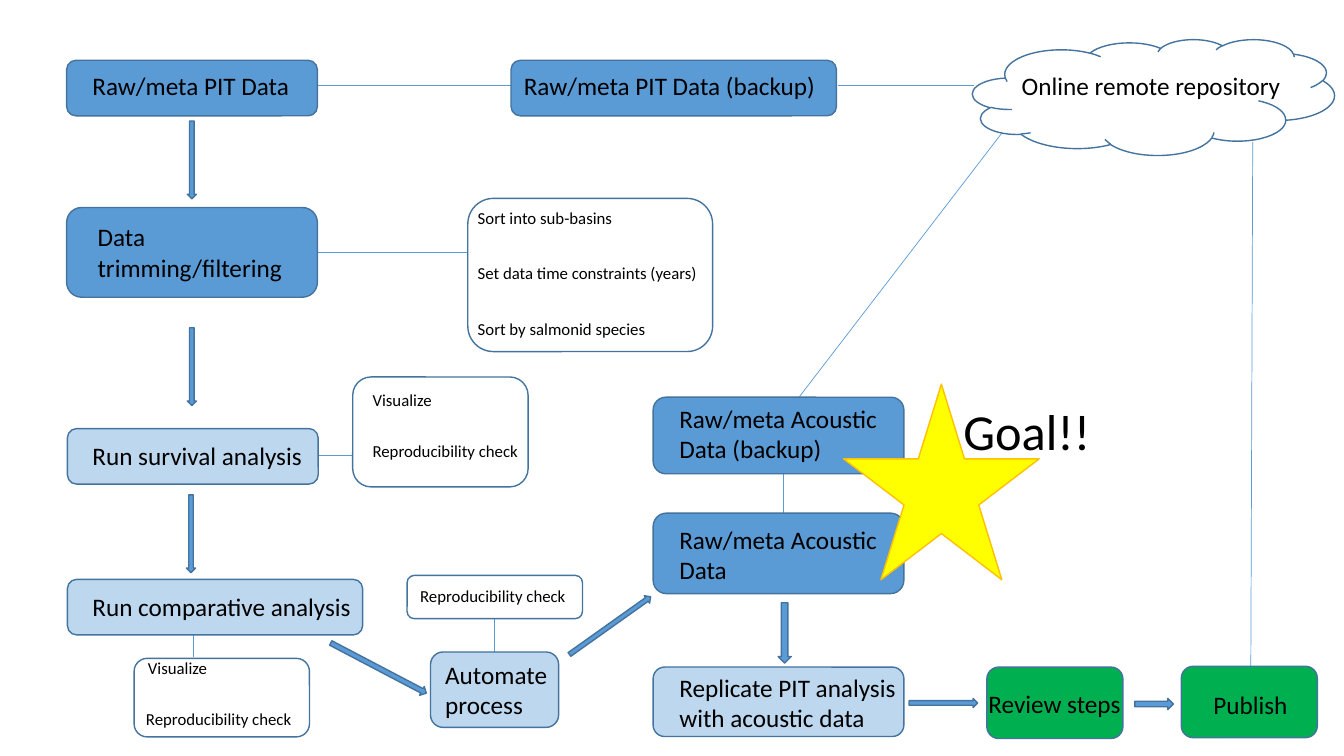
from lxml.etree import SubElement
from pptx import Presentation
from pptx.dml.color import RGBColor as Rgb
from pptx.enum.shapes import MSO_CONNECTOR as Link, MSO_SHAPE as Kind
from pptx.oxml.ns import qn
from pptx.util import Cm, Pt

FONT = "Calibri"
HUES = {
    "blue": "5B9BD5", "pale": "BDD7EE", "green": "00B050", "edge": "43739E",
    "white": "FFFFFF", "black": "000000", "yellow": "FFFF00", "gold": "FFC000",
}

# Links: x1, y1, x2, y2 in cm
LINKS = [
    (12.95, 2.16, 7.62, 2.16), (21.13, 2.16, 24.54, 2.16),
    (7.49, 6.35, 11.79, 6.35), (8.89, 11.48, 7.98, 11.48),
    (4.88, 15.72, 4.88, 16.56), (12.47, 15.6, 12.47, 16.46),
    (19.74, 13.08, 19.74, 11.84), (20.12, 10.03, 25.25, 3.35),
    (31.57, 3.58, 31.52, 17.25),
]

# Steps: fill, box (left, top, width, height), text, text place (left, top, width)
STEPS = [
    ("blue", (1.68, 1.52, 6.32, 1.4), "Raw/meta PIT Data", (2.08, 1.65, 5.54)),
    ("blue", (12.88, 1.52, 8.2, 1.4), "Raw/meta PIT Data (backup)", (12.95, 1.65, 8.31)),
    ("blue", (1.68, 5.23, 6.32, 2.26), "Data trimming/filtering", (2.21, 5.46, 5.28)),
    ("pale", (1.7, 10.8, 6.32, 1.4), "Run survival analysis", (2.08, 10.97, 9.3)),
    ("pale", (1.7, 14.6, 7.44, 1.4), "Run comparative analysis", (2.08, 14.78, 9.3)),
    ("pale", (10.85, 16.43, 3.23, 1.9), "Automate process", (10.97, 16.48, 4.78)),
    ("blue", (16.46, 10.01, 6.32, 1.93), "Raw/meta Acoustic Data (backup)", (16.87, 10.03, 6.5)),
    ("blue", (16.46, 12.93, 6.32, 2.03), "Raw/meta Acoustic Data", (16.87, 13.08, 6.5)),
    ("pale", (16.46, 16.81, 6.32, 1.75), "Replicate PIT analysis with acoustic data",
     (16.87, 16.81, 6.5)),
    ("green", (24.87, 16.81, 3.43, 1.8), "Review steps", (24.66, 17.22, 5)),
    ("green", (29.77, 16.79, 3.43, 1.8), "Publish", (30.33, 17.25, 5)),
]

# Notes: frame, then its lines of text with their places
NOTES = [
    ((11.79, 5, 6.17, 3.86), [
        ("Sort into sub-basins", (11.79, 5.1, 5.82)),
        ("Set data time constraints (years)", (11.79, 6.5, 9.3)),
        ("Sort by salmonid species", (11.79, 7.9, 9.3))]),
    ((8.89, 9.5, 4.42, 2.77), [
        ("Visualize", (9.14, 9.7, 2.77)),
        ("Reproducibility check", (9.14, 10.97, 5.08))]),
    ((3.38, 16.59, 4.42, 1.98), [
        ("Visualize", (3.48, 16.46, 9.3)),
        ("Reproducibility check", (3.43, 17.73, 5.56))]),
    ((10.26, 14.5, 4.42, 1.09), [
        ("Reproducibility check", (10.34, 14.63, 5.56))]),
]

# Arrows: kind, box, turn in degrees
DOWN, RIGHT = Kind.DOWN_ARROW, Kind.RIGHT_ARROW
ARROWS = [
    (DOWN, (4.72, 3.05, 0.23, 1.96), 0), (DOWN, (4.72, 8.26, 0.23, 1.96), 0),
    (DOWN, (4.7, 12.47, 0.23, 1.96), 0), (DOWN, (19.61, 15.19, 0.33, 1.52), 0),
    (RIGHT, (8.18, 16.71, 2.72, 0.25), 27.7), (RIGHT, (14.12, 15.65, 2.51, 0.23), 324.6),
    (RIGHT, (22.91, 17.6, 1.73, 0.23), 0), (RIGHT, (28.6, 17.6, 0.97, 0.28), 0),
]


def hue(name):
    return Rgb.from_string(HUES[name])


def add_form(slide, kind, box, fill=None, edge="edge", turn=0):
    form = slide.shapes.add_shape(kind, *map(Cm, box))
    form.shadow.inherit = False
    form.rotation = turn
    if fill:
        form.fill.solid()
        form.fill.fore_color.rgb = hue(fill)
    else:
        form.fill.background()
    form.line.color.rgb = hue(edge)
    form.line.width = Pt(1)


def add_text(slide, text, place, size=18, color="black", high=1.03):
    frame = slide.shapes.add_textbox(*map(Cm, place), Cm(high)).text_frame
    frame.word_wrap = True
    run = frame.paragraphs[0].add_run()
    run.text = text
    run.font.name = FONT
    run.font.size = Pt(size)
    run.font.color.rgb = hue(color)


def add_link(slide, ends):
    link = slide.shapes.add_connector(Link.STRAIGHT, *map(Cm, ends))
    link.line.color.rgb = hue("blue")
    link.line.width = Pt(0.5)
    SubElement(link._element.spPr, qn("a:effectLst"))


def main():
    deck = Presentation()
    deck.slide_width, deck.slide_height = Cm(33.87), Cm(19.05)
    slide = deck.slides.add_slide(deck.slide_layouts[6])

    # Links lie behind the steps
    for ends in LINKS:
        add_link(slide, ends)

    # Steps of the flow
    for fill, box, text, place in STEPS:
        add_form(slide, Kind.ROUNDED_RECTANGLE, box, fill=fill)
        add_text(slide, text, place)

    # Online store
    add_form(slide, Kind.CLOUD, (24.51, 0.99, 9.12, 2.92), fill="white")
    add_text(slide, "Online remote repository", (25.5, 1.65, 7.92))

    # Side notes
    for box, lines in NOTES:
        add_form(slide, Kind.ROUNDED_RECTANGLE, box)
        for text, place in lines:
            add_text(slide, text, place, size=12, high=0.77)

    # Arrows between steps
    for kind, box, turn in ARROWS:
        add_form(slide, kind, box, fill="blue", turn=turn)

    # Goal
    add_form(slide, Kind.STAR_5_POINT, (21.26, 9.68, 4.93, 4.93), fill="yellow", edge="gold")
    add_text(slide, "Goal!!", (24.03, 9.96, 6.1), size=36, high=1.8)

    deck.save("out.pptx")


if __name__ == "__main__":
    main()
